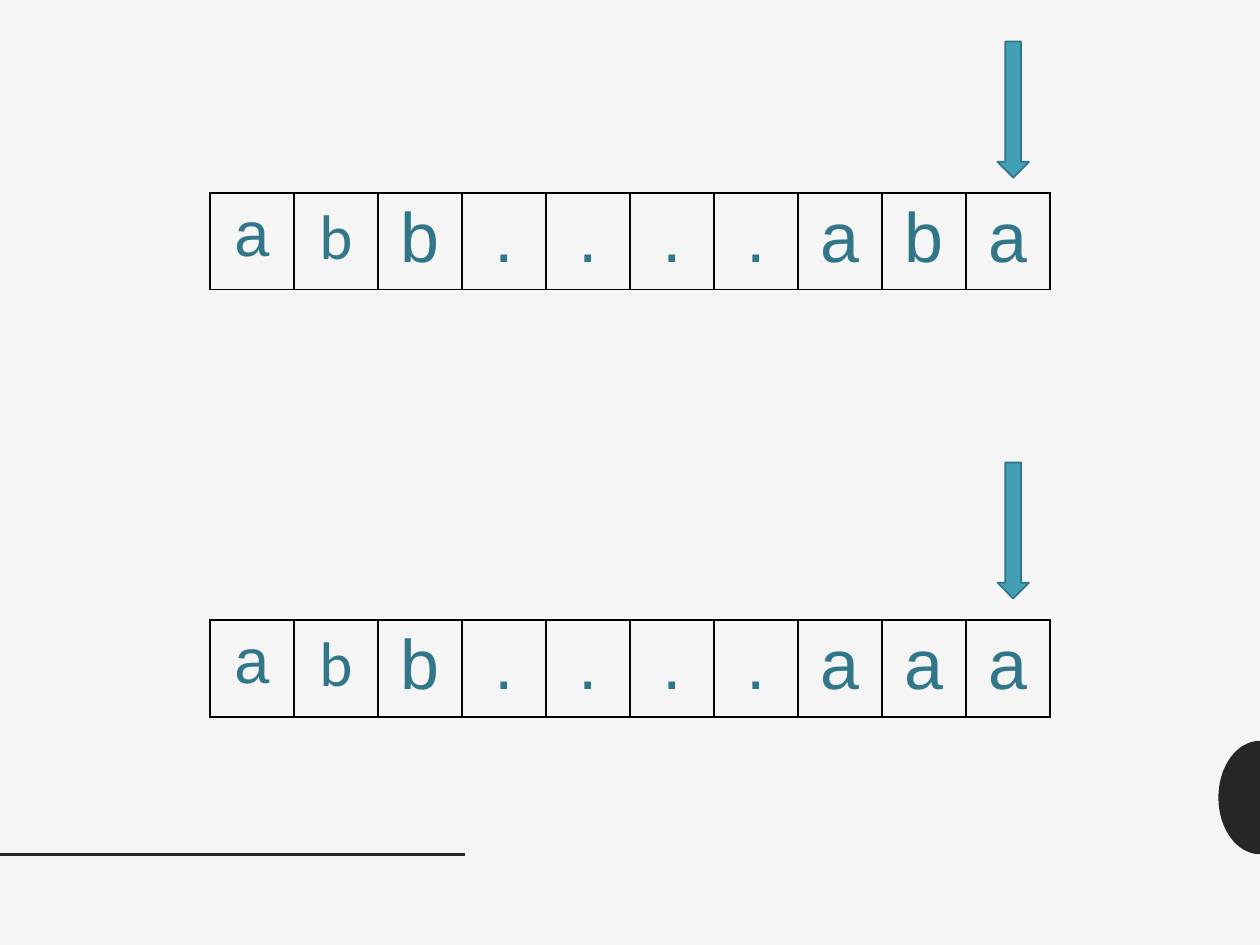
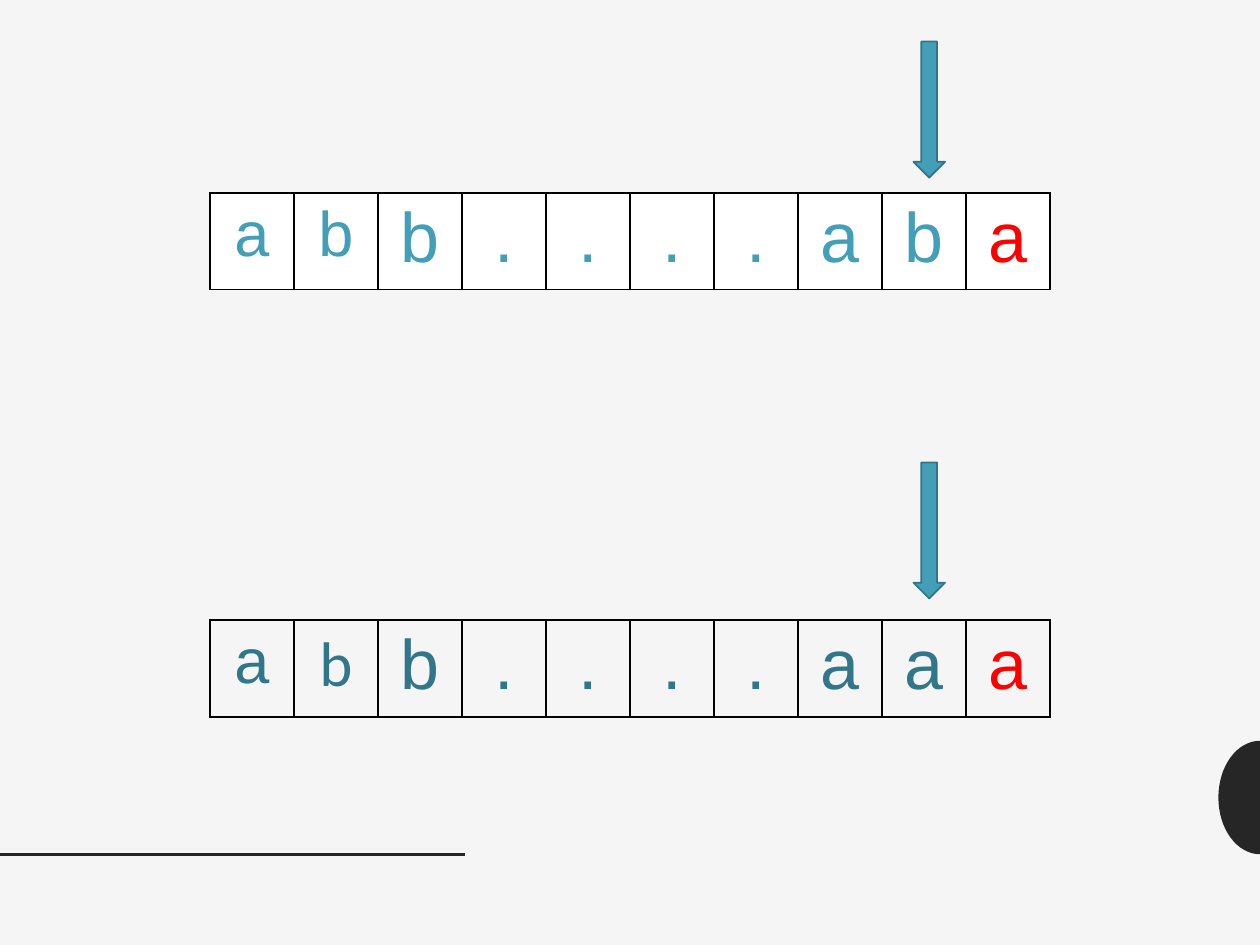
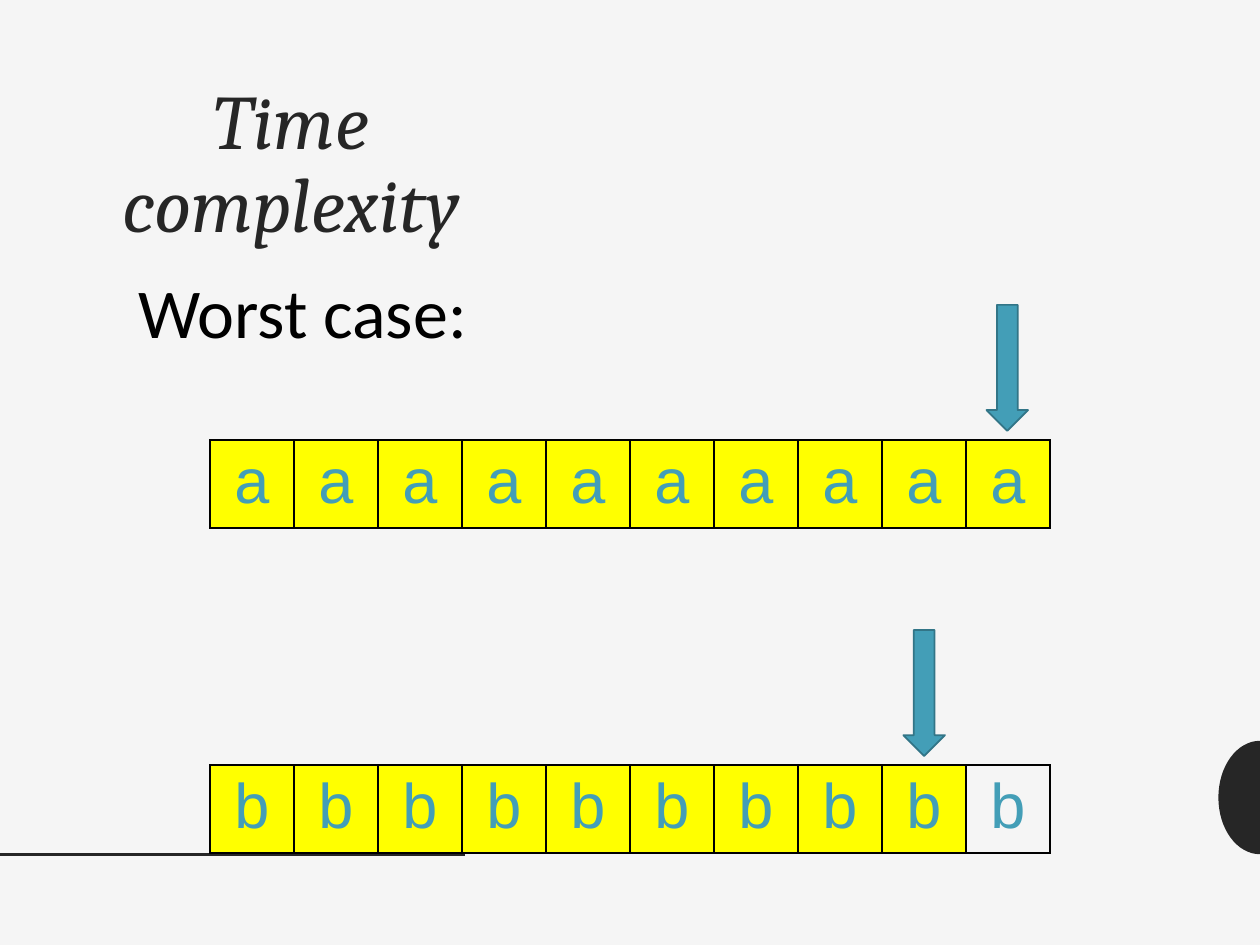
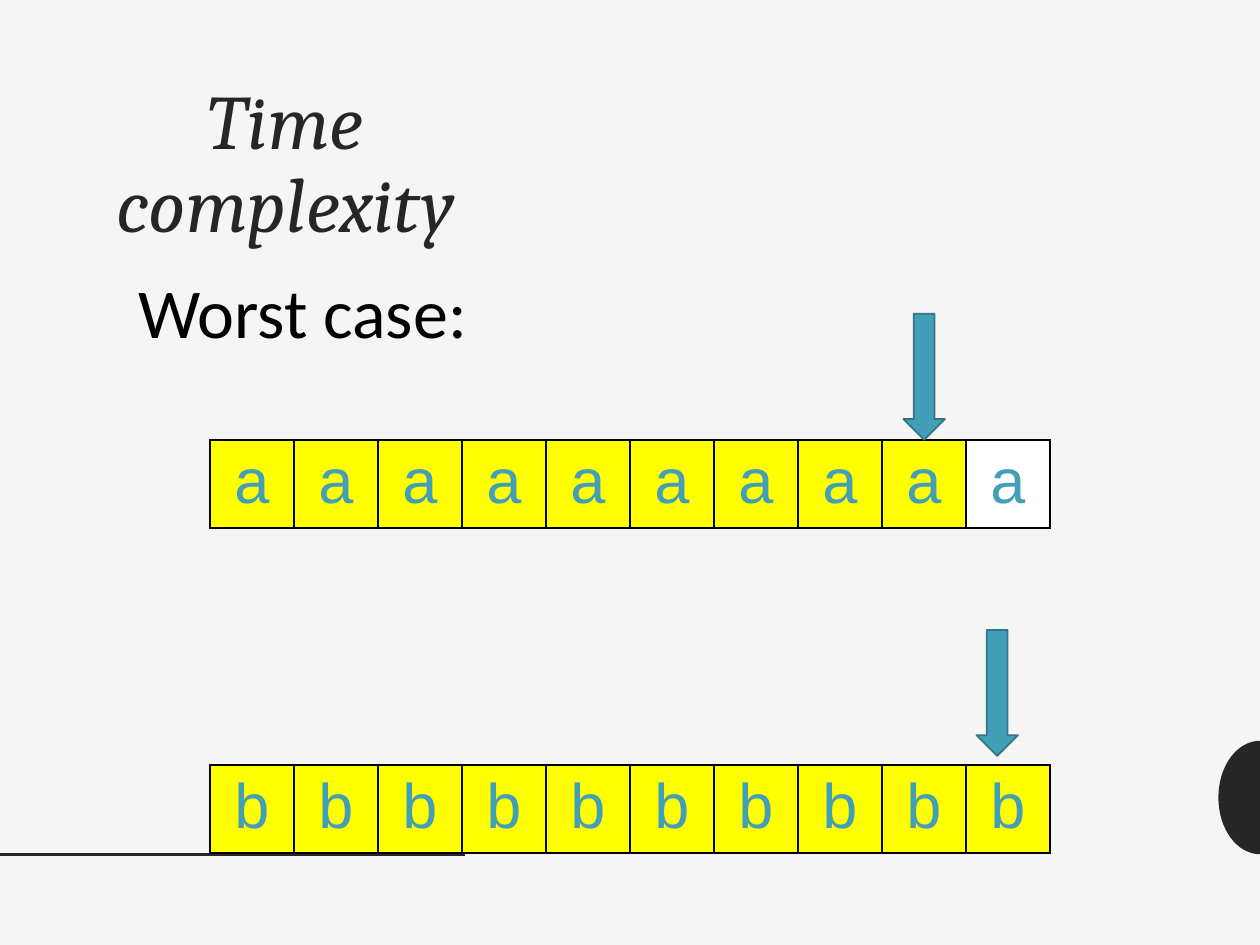
import math
from lxml import etree
from pptx import Presentation
from pptx import util as u
from pptx.dml import color
from pptx.enum import shapes, text
from pptx.oxml import ns

BACKDROP, INK, BLACK, WHITE = "F5F5F5", "262626", "000000", "FFFFFF"
TEAL, DEEP_TEAL, ARROW_EDGE = "439EB7", "327689", "327587"
RED, YELLOW = "FF0000", "FFFF00"
COLUMNS = 10
CELL_W = 2 / 3
TAPE_LEFT = 5 / 3
MIXED_SIZES = [36, 36] + [40] * 8
ALL_ARIAL = ["Arial"] * COLUMNS
ONE_CALIBRI = ["Arial", "Calibri"] + ["Arial"] * 8


def rgb(value):
    return color.RGBColor.from_string(value)


def inches(box):
    return [u.Inches(v) for v in box]


def paint(fill, value):
    if value:
        fill.solid()
        fill.fore_color.rgb = rgb(value)
    else:
        fill.background()


def write(tf, words, ink, align, **formats):
    p = tf.paragraphs[0]
    p.alignment = align
    r = p.add_run()
    r.text = words
    r.font.color.rgb = rgb(ink)
    for key, value in formats.items():
        setattr(r.font, key, value)
    return p


def add_edge_disc(s, box):
    left, top, width, height = inches(box)
    steps = 32
    points = []
    for i in range(steps + 1):
        angle = math.pi * i / steps
        points.append((left + width - width * math.sin(angle),
                       top + height / 2 * (1 - math.cos(angle))))
    builder = s.shapes.build_freeform(*points[0])
    builder.add_line_segments(points[1:], close=True)
    sp = builder.convert_to_shape()
    sp.shadow.inherit = False
    paint(sp.fill, INK)
    sp.line.fill.background()


def add_footer_rule(s, box):
    left, top, width, height = inches(box)
    line = s.shapes.add_connector(shapes.MSO_CONNECTOR.STRAIGHT,
                                  left, top, left + width, top + height)
    line.line.color.rgb = rgb(INK)
    line.line.width = u.Pt(2)
    etree.SubElement(line._element.spPr, ns.qn("a:effectLst"))


def add_base_slide(prs):
    s = prs.slides.add_slide(prs.slide_layouts[6])
    add_edge_disc(s, (9.67, 5.88, 0.33, 0.9))
    add_footer_rule(s, (0, 6.78, 3.69, 0))
    return s


def add_borders(cell):
    tc_pr = cell._tc.get_or_add_tcPr()
    for side in ("a:lnL", "a:lnR", "a:lnT", "a:lnB"):
        ln = etree.SubElement(tc_pr, ns.qn(side), w=str(u.Pt(1)))
        solid = etree.SubElement(ln, ns.qn("a:solidFill"))
        etree.SubElement(solid, ns.qn("a:srgbClr"), val=BLACK)


def add_tape(s, box, letters, sizes, fonts, inks, fills):
    table = s.shapes.add_table(1, len(letters), *inches(box)).table
    for key in ("first_row", "horz_banding"):
        setattr(table, key, False)
    for column in table.columns:
        column.width = u.Inches(box[2] / len(letters))
    for cell, letter, size, font, ink, fill in zip(
            table.rows[0].cells, letters, sizes, fonts, inks, fills):
        add_borders(cell)
        paint(cell.fill, fill)
        write(cell.text_frame, letter, ink, text.PP_ALIGN.CENTER,
              size=u.Pt(size), name=font)


def add_arrow(s, box):
    sp = s.shapes.add_shape(shapes.MSO_SHAPE.DOWN_ARROW, *inches(box))
    sp.shadow.inherit = False
    paint(sp.fill, TEAL)
    sp.line.color.rgb = rgb(ARROW_EDGE)
    sp.line.width = u.Pt(1)


def add_text(s, box, words, ink, align, **formats):
    tf = s.shapes.add_textbox(*inches(box)).text_frame
    tf.word_wrap = True
    return write(tf, words, ink, align, **formats)


def tape_box(top, height):
    return TAPE_LEFT, top, CELL_W * COLUMNS, height


def comparison_slide(prs, arrow_column, tapes):
    s = add_base_slide(prs)
    for top, (letters, fonts, inks, fill) in zip((1.53, 4.92), tapes):
        add_tape(s, tape_box(top, 0.77), letters, MIXED_SIZES, fonts, inks,
                 [fill] * COLUMNS)
    for top in (0.33, 3.67):
        add_arrow(s, (TAPE_LEFT + arrow_column * CELL_W + 0.25, top, 0.25, 1.08))


def worst_case_slide(prs, title_width, last_fills, arrow_spots):
    s = add_base_slide(prs)
    p = add_text(s, (0.62, 0.61, title_width, 5.42), "Time complexity", INK,
                 text.PP_ALIGN.CENTER, size=u.Pt(44), name="Cambria", italic=True)
    p.line_spacing = 0.9
    add_text(s, (1, 2.08, 8.08, 1.45), "Worst case:", BLACK, text.PP_ALIGN.LEFT,
             size=u.Pt(40), name="Calibri")
    for letter, top, last_fill in zip("ab", (3.49, 6.07), last_fills):
        add_tape(s, tape_box(top, 0.7), letter * COLUMNS, [36] * COLUMNS, ALL_ARIAL,
                 [TEAL] * COLUMNS, [YELLOW] * (COLUMNS - 1) + [last_fill])
    for left, top in arrow_spots:
        add_arrow(s, (left, top, 0.33, 1))


prs = Presentation()
prs.slide_width, prs.slide_height = u.Inches(10), u.Inches(7.5)
paint(prs.slide_master.background.fill, BACKDROP)

comparison_slide(prs, 9, [
    ("abb....aba", ONE_CALIBRI, [DEEP_TEAL] * 10, None),
    ("abb....aaa", ONE_CALIBRI, [DEEP_TEAL] * 10, None),
])
comparison_slide(prs, 8, [
    ("abb....aba", ALL_ARIAL, [TEAL] * 9 + [RED], WHITE),
    ("abb....aaa", ONE_CALIBRI, [DEEP_TEAL] * 9 + [RED], None),
])
worst_case_slide(prs, 3.38, (YELLOW, None), [(7.83, 2.42), (7.17, 5)])
worst_case_slide(prs, 3.29, (WHITE, YELLOW), [(7.17, 2.49), (7.75, 5)])

prs.save("out.pptx")
